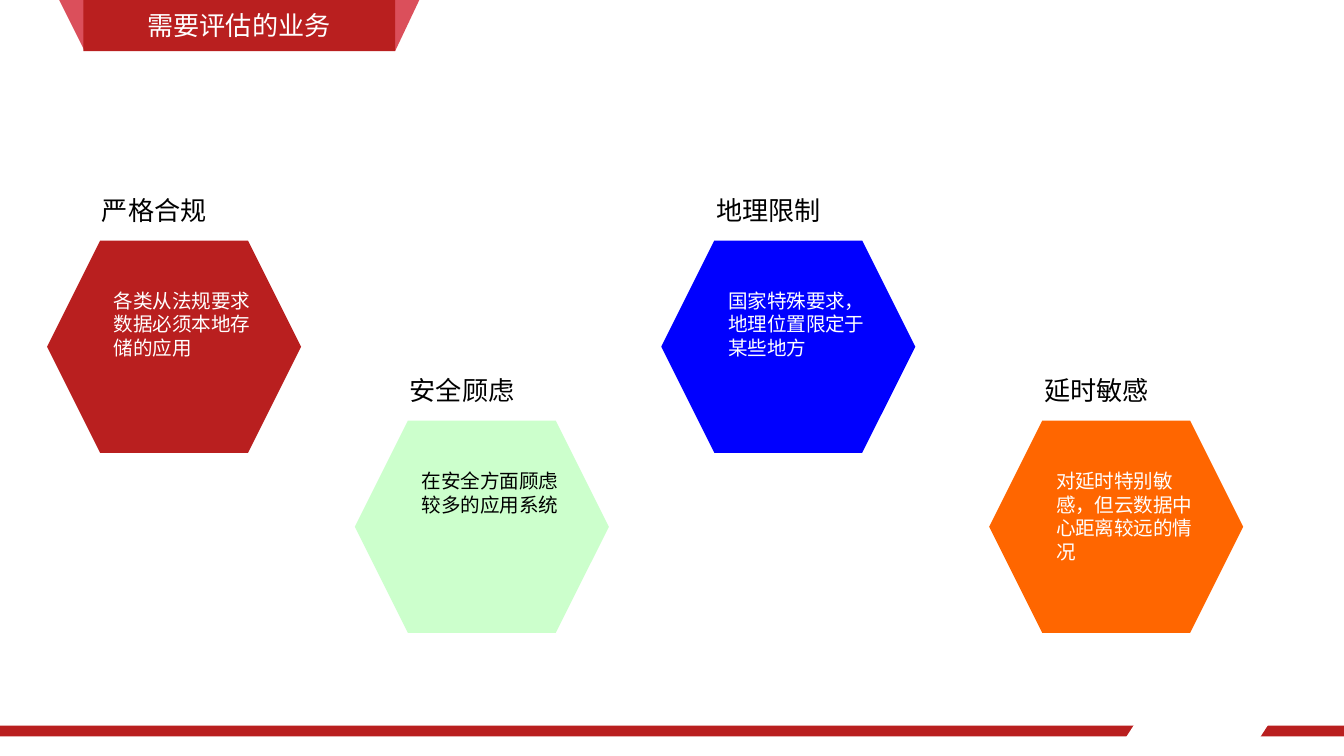
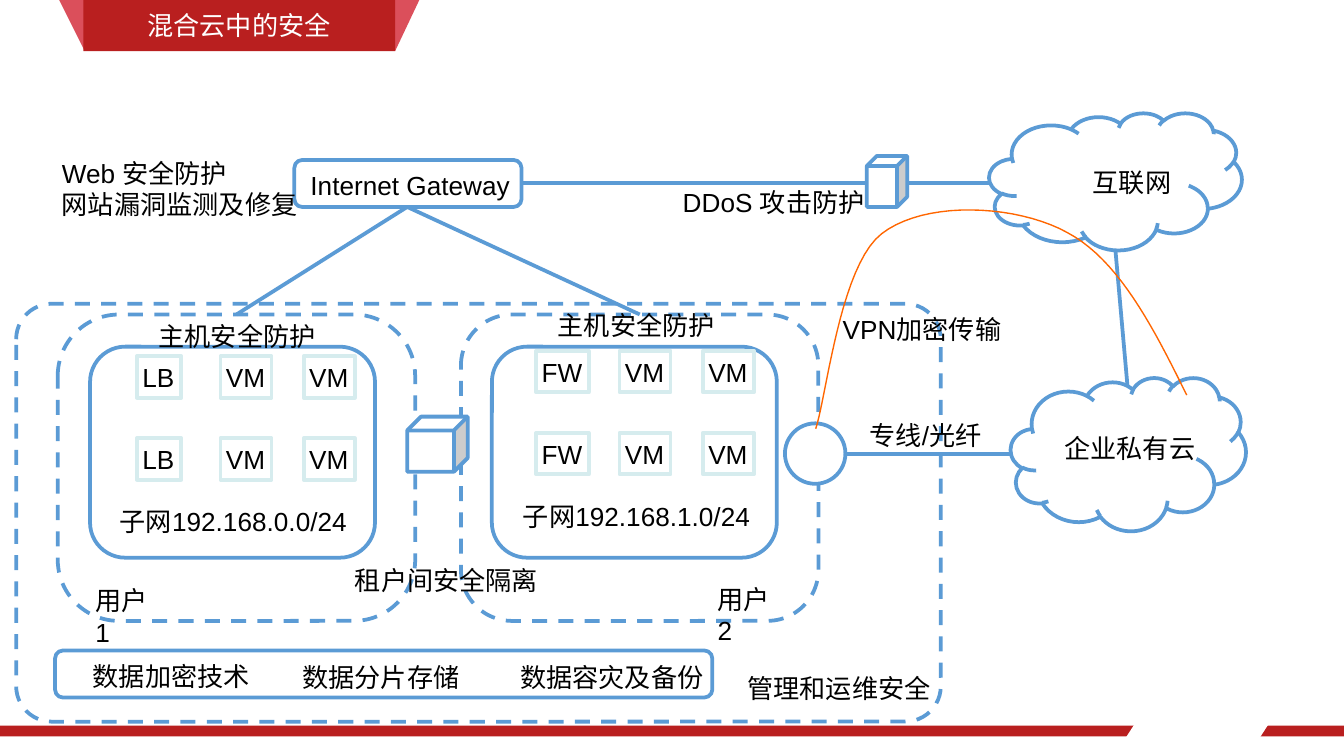
import pptx
import pptx.dml.color
import pptx.enum.dml
import pptx.enum.shapes
import pptx.enum.text
import pptx.oxml
import pptx.oxml.ns
import pptx.util

Inches = pptx.util.Inches
SHAPE = pptx.enum.shapes.MSO_SHAPE
ALIGN = pptx.enum.text.PP_ALIGN
COLORS = {
    "red": "B91F1F", "fold": "DB4F5B", "white": "FFFFFF", "black": "000000",
    "mint": "CCFFCC", "blue": "0000FF", "orange": "FF6600",
    "outline": "5B9BD5", "machine": "D6ECEE",
}


def draw(slide, geometry, at, fill=None, line=None, dashed=False, adjust=None):
    """Add a preset shape; a fill or line of None leaves that part out."""
    shape = slide.shapes.add_shape(geometry, *map(Inches, at))
    shape.shadow.inherit = False
    if fill:
        shape.fill.solid()
        shape.fill.fore_color.rgb = pptx.dml.color.RGBColor.from_string(COLORS[fill])
    else:
        shape.fill.background()
    if line:
        shape.line.color.rgb = pptx.dml.color.RGBColor.from_string(COLORS[line])
        shape.line.width = pptx.util.Pt(2)
        if dashed:
            shape.line.dash_style = pptx.enum.dml.MSO_LINE.DASH
    else:
        shape.line.fill.background()
    if adjust is not None:
        shape.adjustments[0] = adjust
    return shape


def write(shape, text, color="black", size=14, wrap=False, margins=(0.04, 0.04),
          align=ALIGN.LEFT):
    frame = shape.text_frame
    frame.text = text
    side, end = map(Inches, margins)
    frame_format = {
        "word_wrap": wrap,
        "auto_size": pptx.enum.text.MSO_AUTO_SIZE.SHAPE_TO_FIT_TEXT,
        "vertical_anchor": pptx.enum.text.MSO_ANCHOR.TOP,
        "margin_left": side, "margin_right": side,
        "margin_top": end, "margin_bottom": end,
    }
    for name, value in frame_format.items():
        setattr(frame, name, value)
    for paragraph in frame.paragraphs:
        paragraph.alignment = align
        paragraph._p.get_or_add_pPr().set("hangingPunct", "0")
        for name, value in {"name": "Arial", "size": pptx.util.Pt(size)}.items():
            setattr(paragraph.font, name, value)
        paragraph.font.color.rgb = pptx.dml.color.RGBColor.from_string(COLORS[color])


deck = pptx.Presentation()
deck.slide_width = Inches(10)
deck.slide_height = deck.slide_width * 9 // 16
layout = deck.slide_layouts[5]
business = deck.slides.add_slide(layout)
security = deck.slides.add_slide(layout)

# Footer band and title ribbon live on the shared layout
right_fold = draw(business, SHAPE.RIGHT_TRIANGLE, (2.94, 0, 0.18, 0.38), "fold")
left_fold = draw(business, SHAPE.RIGHT_TRIANGLE, (0.44, 0, 0.19, 0.38), "fold")
right_fold.element.spPr.xfrm.set("flipV", "1")
left_fold.element.spPr.xfrm.set("flipV", "1")
left_fold.element.spPr.xfrm.set("flipH", "1")
shared = [
    draw(business, SHAPE.RECTANGLE, (0, 5.4, 10, 0.08), "red"),
    draw(business, SHAPE.PARALLELOGRAM, (8.35, 5.31, 1.14, 0.22), "white", adjust=0.65),
    right_fold,
    left_fold,
    draw(business, SHAPE.RECTANGLE, (0.62, 0, 2.32, 0.38), "red"),
]
for number, part in enumerate(shared, start=20):
    part.element.nvSpPr.cNvPr.set("id", str(number))
    layout.shapes.element.append(part.element)

title_place = {"left": 0.5, "top": -0.01, "width": 2.56, "height": 0.4}
for slide, heading in ((business, "需要评估的业务"), (security, "混合云中的安全")):
    title = slide.shapes.title
    for name, value in title_place.items():
        setattr(title, name, Inches(value))
    write(title, heading, "white", wrap=True, margins=(0.16, 0.08), align=ALIGN.CENTER)

# Slide 1: businesses to assess
concerns = [
    (0.35, 1.79, "red", "white", "严格合规", "各类从法规要求数据必须本地存储的应用"),
    (2.64, 3.13, "mint", "black", "安全顾虑", "在安全方面顾虑较多的应用系统"),
    (4.92, 1.79, "blue", "white", "地理限制", "国家特殊要求，地理位置限定于某些地方"),
    (7.36, 3.13, "orange", "white", "延时敏感", "对延时特别敏感，但云数据中心距离较远的情况"),
]
for left, top, fill, ink, concern, detail in concerns:
    draw(business, SHAPE.HEXAGON, (left, top, 1.89, 1.58), fill)
    label = business.shapes.add_textbox(
        *map(Inches, (left + 0.31, top - 0.39, 0.99, 0.34)))
    write(label, concern, margins=(0.1, 0.05))
    description = business.shapes.add_textbox(
        *map(Inches, (left + 0.4, top + 0.31, 1.24, 0.81)))
    write(description, detail, ink, 10.5, wrap=True, margins=(0.1, 0.05))

# Slide 2: platform, tenants, subnets and their machines
zones = [
    ((0.12, 2.26, 6.88, 3.11), True, 0.085),
    ((3.43, 2.34, 2.66, 2.28), True, None),
    ((0.43, 2.34, 2.66, 2.28), True, 0.2),
    ((2.19, 1.19, 1.69, 0.35), False, None),
    ((0.67, 2.58, 2.12, 1.57), False, None),
    ((3.66, 2.58, 2.12, 1.57), False, None),
    ((0.41, 4.84, 4.89, 0.35), False, None),
]
for at, dashed, corner in zones:
    draw(security, SHAPE.ROUNDED_RECTANGLE, at, "white", "outline", dashed, corner)

for left, top, front, front_width in ((1.02, 2.65, "LB", 0.33), (3.99, 2.61, "FW", 0.39)):
    for row in range(2):
        for column, machine in enumerate((front, "VM", "VM")):
            width = 0.38 if column else front_width
            at = (left + 0.62 * column, top + 0.61 * row, width, 0.31)
            write(draw(security, SHAPE.RECTANGLE, at, line="machine"), machine)

links = [
    (3.03, 1.54, 1.76, 2.34),
    (3.03, 1.54, 4.76, 2.34),
    (3.88, 1.36, 7.37, 1.36),
    (6.29, 3.38, 7.53, 3.38),
    (8.39, 2.88, 8.3, 1.87),
]
for ends in links:
    link = security.shapes.add_connector(
        pptx.enum.shapes.MSO_CONNECTOR.STRAIGHT, *map(Inches, ends))
    link.line.color.rgb = pptx.dml.color.RGBColor.from_string(COLORS["outline"])
    link.line.width = pptx.util.Pt(2)
    link.element.spPr.append(pptx.oxml.parse_xml(
        "<a:effectLst %s/>" % pptx.oxml.ns.nsdecls("a")))

devices = [
    (SHAPE.CLOUD, (7.36, 0.84, 1.88, 1.02)),
    (SHAPE.CLOUD, (7.52, 2.81, 1.75, 1.14)),
    (SHAPE.CUBE, (3.03, 3.1, 0.45, 0.41)),
    (SHAPE.CUBE, (6.45, 1.16, 0.3, 0.38)),
    (SHAPE.FLOWCHART_CONNECTOR, (5.84, 3.15, 0.45, 0.45)),
]
for geometry, at in devices:
    draw(security, geometry, at, "white", "outline")

# VPN tunnel: Bezier segments sampled into short straight steps
tunnel_start = (8.83, 2.94)
tunnel_curves = [
    ((8.58, 2.43), (8.32, 1.93), (7.94, 1.73)),
    ((7.56, 1.52), (6.88, 1.49), (6.56, 1.74)),
    ((6.25, 1.98), (6.15, 2.95), (6.07, 3.19)),
]
STEPS = 20
tunnel_points = []
joint = tunnel_start
for curve in tunnel_curves:
    for step in range(1, STEPS + 1):
        t = step / STEPS
        weights = ((1 - t) ** 3, 3 * t * (1 - t) ** 2, 3 * t ** 2 * (1 - t), t ** 3)
        tunnel_points.append(tuple(
            Inches(sum(w * v for w, v in zip(weights, values)))
            for values in zip(joint, *curve)))
    joint = curve[-1]
builder = security.shapes.build_freeform(*map(Inches, tunnel_start))
builder.add_line_segments(tunnel_points, close=False)
tunnel = builder.convert_to_shape()
tunnel.shadow.inherit = False
tunnel.fill.background()
tunnel.line.color.rgb = pptx.dml.color.RGBColor.from_string(COLORS["orange"])
tunnel.line.width = pptx.util.Pt(0.75)

captions = [
    (2.27, 1.22, 1.59, "Internet Gateway"),
    (0.85, 3.72, 1.82, "子网192.168.0.0/24"),
    (3.85, 3.68, 1.82, "子网192.168.1.0/24"),
    (0.67, 4.31, 0.57, "用户1"),
    (5.3, 4.3, 0.57, "用户2"),
    (8.09, 1.2, 0.68, "互联网"),
    (7.88, 3.18, 1.06, "企业私有云"),
    (2.6, 4.16, 1.45, "租户间安全隔离"),
    (5.04, 1.35, 1.5, "DDoS 攻击防护"),
    (0.42, 1.13, 1.84, "Web 安全防护\n网站漏洞监测及修复"),
    (1.14, 2.34, 1.26, "主机安全防护"),
    (4.11, 2.26, 1.25, "主机安全防护"),
    (0.65, 4.87, 1.25, "数据加密技术"),
    (2.21, 4.88, 1.25, "数据分片存储"),
    (3.83, 4.88, 1.45, "数据容灾及备份"),
    (5.52, 4.96, 1.45, "管理和运维安全"),
    (6.43, 3.08, 0.96, "专线/光纤"),
    (6.23, 2.29, 1.28, "VPN加密传输"),
]
for left, top, width, text in captions:
    height = 0.55 if "\n" in text else 0.31
    caption = security.shapes.add_textbox(*map(Inches, (left, top, width, height)))
    write(caption, text)

deck.save("out.pptx")
